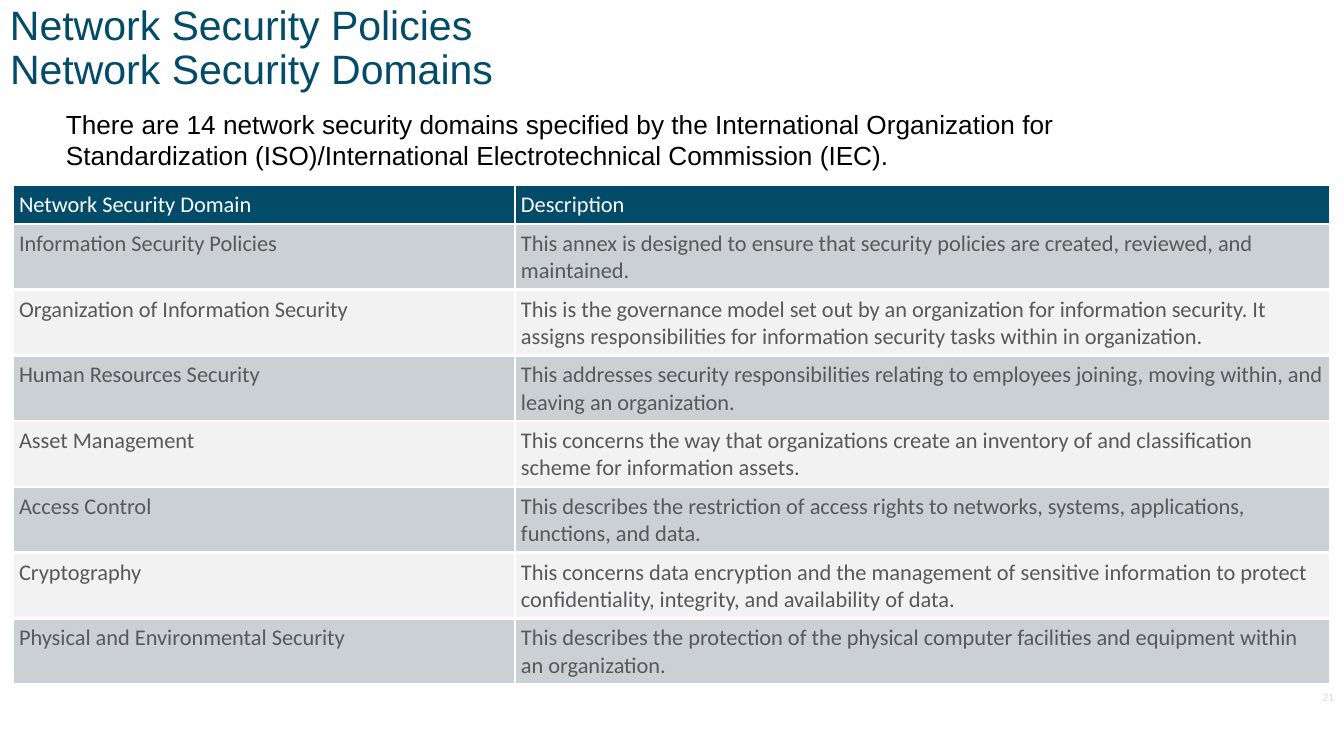
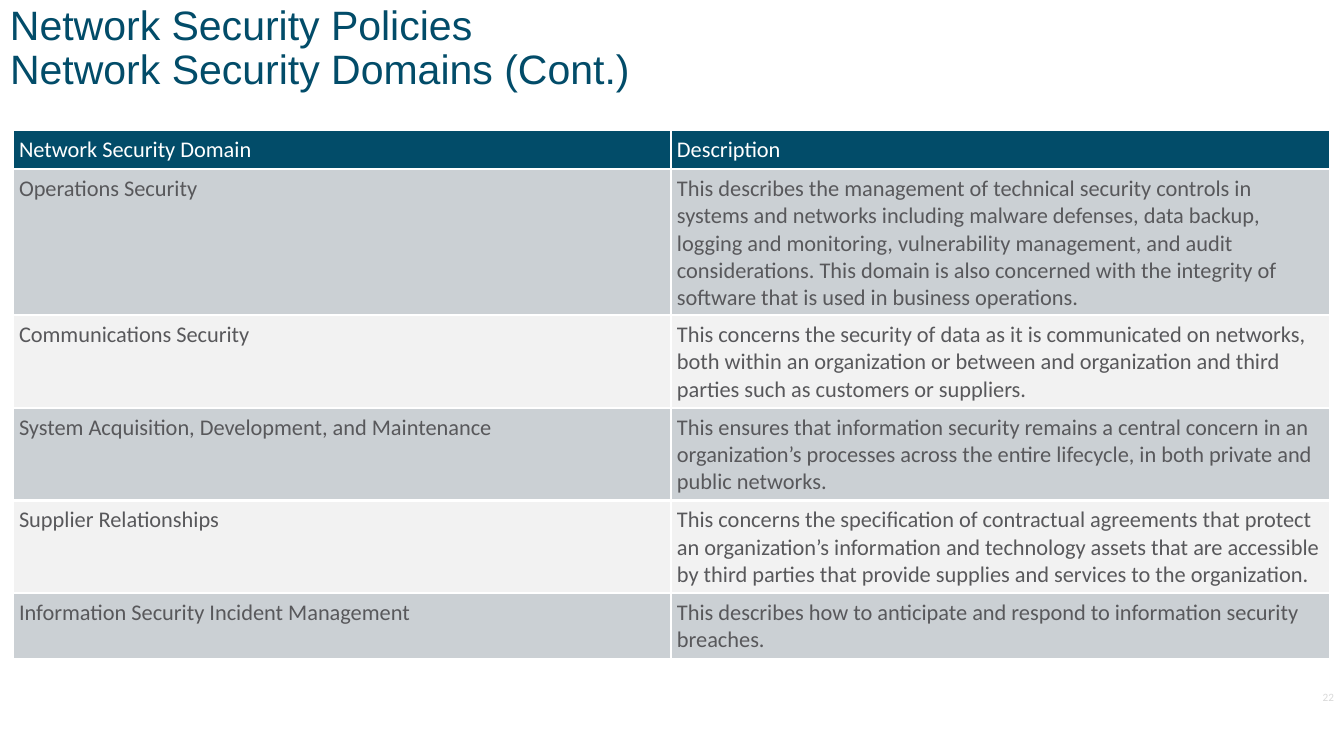
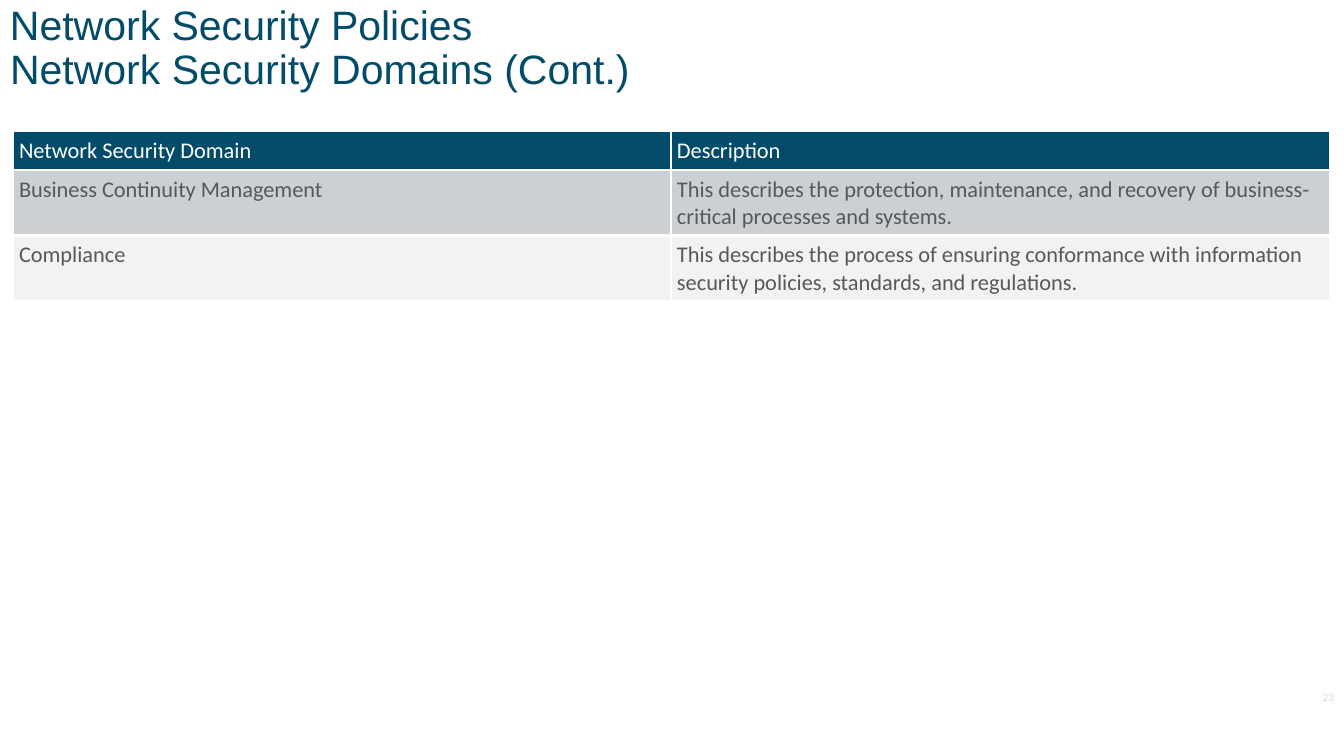
from lxml import etree
from pptx import Presentation
from pptx.dml.color import RGBColor
from pptx.enum.text import MSO_ANCHOR, PP_ALIGN
from pptx.oxml.ns import qn
from pptx.util import Emu, Pt

TOP, MIDDLE = MSO_ANCHOR.TOP, MSO_ANCHOR.MIDDLE
LEFT, RIGHT = PP_ALIGN.LEFT, PP_ALIGN.RIGHT

NAVY = RGBColor(0x02, 0x4C, 0x69)
BLACK = RGBColor(0x00, 0x00, 0x00)
WHITE = RGBColor(0xFF, 0xFF, 0xFF)
DARK_GREY = RGBColor(0x58, 0x58, 0x5B)
BAND_GREY = RGBColor(0xCB, 0xD0, 0xD4)
BAND_LIGHT = RGBColor(0xF2, 0xF2, 0xF2)
NUMBER_GREY = RGBColor(0xD9, 0xD9, 0xD9)

HEADING_FONT, TABLE_FONT = "Arial", "Calibri"
EMU_PER_PX = 914400 / 100.8
SLIDE_WIDTH, SLIDE_HEIGHT = 1344, 756
TITLE_ONLY = 5
TABLE_LEFT = 13
CELL_INSET = 6
LINE_HEIGHT, ROW_PADDING = 27, 11

TOPIC = "Network Security Policies"
INTRODUCTION = (
    "There are 14 network security domains specified by the International Organization for "
    "Standardization (ISO)/International Electrotechnical Commission (IEC)."
)
HEADER = ("Network Security Domain", "Description", 1)

GOVERNANCE_DOMAINS = [
    ("Information Security Policies",
     "This annex is designed to ensure that security policies are created, reviewed, and maintained.", 2),
    ("Organization of Information Security",
     "This is the governance model set out by an organization for information security. It assigns "
     "responsibilities for information security tasks within in organization.", 2),
    ("Human Resources Security",
     "This addresses security responsibilities relating to employees joining, moving within, and "
     "leaving an organization.", 2),
    ("Asset Management",
     "This concerns the way that organizations create an inventory of and classification scheme for "
     "information assets.", 2),
    ("Access Control",
     "This describes the restriction of access rights to networks, systems, applications, functions, "
     "and data.", 2),
    ("Cryptography",
     "This concerns data encryption and the management of sensitive information to protect "
     "confidentiality, integrity, and availability of data.", 2),
    ("Physical and Environmental Security",
     "This describes the protection of the physical computer facilities and equipment within an "
     "organization.", 2),
]
OPERATIONS_DOMAINS = [
    ("Operations Security",
     "This describes the management of technical security controls in systems and networks including "
     "malware defenses, data backup, logging and monitoring, vulnerability management, and audit "
     "considerations. This domain is also concerned with the integrity of software that is used in "
     "business operations.", 5),
    ("Communications Security",
     "This concerns the security of data as it is communicated on networks, both within an "
     "organization or between and organization and third parties such as customers or suppliers.", 3),
    ("System Acquisition, Development, and Maintenance",
     "This ensures that information security remains a central concern in an organization’s processes "
     "across the entire lifecycle, in both private and public networks.", 3),
    ("Supplier Relationships",
     "This concerns the specification of contractual agreements that protect an organization’s "
     "information and technology assets that are accessible by third parties that provide supplies "
     "and services to the organization.", 3),
    ("Information Security Incident Management",
     "This describes how to anticipate and respond to information security breaches.", 2),
]
CONTINUITY_DOMAINS = [
    ("Business Continuity Management",
     "This describes the protection, maintenance, and recovery of business-critical processes and "
     "systems.", 2),
    ("Compliance",
     "This describes the process of ensuring conformance with information security policies, "
     "standards, and regulations.", 2),
]


def px(length):
    return Emu(round(length * EMU_PER_PX))


def write(frame, text, size, font, color, align=LEFT, spacing=1.0):
    paragraph = frame.paragraphs[0]
    paragraph.alignment = align
    paragraph.line_spacing = spacing
    paragraph.space_before = Pt(0)
    run = paragraph.add_run()
    run.text = text
    run.font.size = Pt(size)
    run.font.name = font
    run.font.bold = False
    run.font.color.rgb = color


def add_text(slide, left, top, width, height, text, size, font, color,
             align=LEFT, spacing=1.0, anchor=TOP):
    box = slide.shapes.add_textbox(px(left), px(top), px(width), px(height))
    box.text_frame.word_wrap = True
    box.text_frame.vertical_anchor = anchor
    write(box.text_frame, text, size, font, color, align, spacing)
    return box


def add_headings(slide, subtitle, height):
    topic = add_text(slide, 0, 0, SLIDE_WIDTH, 40, TOPIC, 29.3, HEADING_FONT, NAVY, spacing=0.8)
    title = slide.shapes.title
    title.left, title.top, title.width, title.height = px(0), px(40), px(SLIDE_WIDTH), px(height)
    title.text_frame.vertical_anchor = TOP
    write(title.text_frame, subtitle, 29.3, HEADING_FONT, NAVY, spacing=0.9)
    for shape in (topic, title):
        shape.text_frame.margin_top = px(9)


def add_cell_borders(cell):
    properties = cell._tc.get_or_add_tcPr()
    for side in ("a:lnL", "a:lnR", "a:lnT", "a:lnB"):
        line = etree.SubElement(properties, qn(side), w=str(Pt(2)))
        fill = etree.SubElement(line, qn("a:solidFill"))
        etree.SubElement(fill, qn("a:srgbClr"), val=str(WHITE))


def fill_cell(cell, text, text_color, fill_color):
    add_cell_borders(cell)
    cell.fill.solid()
    cell.fill.fore_color.rgb = fill_color
    cell.margin_left = cell.margin_right = px(CELL_INSET)
    cell.margin_top = cell.margin_bottom = px(CELL_INSET)
    write(cell.text_frame, text, 16, TABLE_FONT, text_color)


def add_domain_table(slide, top, column_widths, domains):
    rows = [HEADER] + domains
    heights = [lines * LINE_HEIGHT + ROW_PADDING for *_, lines in rows]
    table = slide.shapes.add_table(
        len(rows), len(column_widths), px(TABLE_LEFT), px(top),
        px(sum(column_widths)), px(sum(heights))).table
    for column, width in zip(table.columns, column_widths):
        column.width = px(width)
    for index, (name, description, _) in enumerate(rows):
        table.rows[index].height = px(heights[index])
        if index == 0:
            text_color, fill_color = WHITE, NAVY
        else:
            text_color, fill_color = DARK_GREY, BAND_GREY if index % 2 else BAND_LIGHT
        for cell, text in zip(table.rows[index].cells, (name, description)):
            fill_cell(cell, text, text_color, fill_color)


def add_domain_slide(presentation, number, subtitle, title_height, table_top, column_widths, domains):
    slide = presentation.slides.add_slide(presentation.slide_layouts[TITLE_ONLY])
    add_headings(slide, subtitle, title_height)
    add_domain_table(slide, table_top, column_widths, domains)
    add_text(slide, 1277, 680, 67, 34, str(number), 8, TABLE_FONT, NUMBER_GREY, RIGHT, anchor=MIDDLE)
    return slide


def main():
    presentation = Presentation()
    presentation.slide_width, presentation.slide_height = px(SLIDE_WIDTH), px(SLIDE_HEIGHT)
    subtitle = "Network Security Domains"
    continued = f"{subtitle} (Cont.)"
    halves = (658, 659)

    slide = add_domain_slide(presentation, 21, subtitle, 57, 185, (502, 815), GOVERNANCE_DOMAINS)
    add_text(slide, 56, 103, 1188, 74, INTRODUCTION, 18.7, HEADING_FONT, BLACK)
    add_domain_slide(presentation, 22, continued, 134, 130, halves, OPERATIONS_DOMAINS)
    add_domain_slide(presentation, 23, continued, 134, 131, halves, CONTINUITY_DOMAINS)

    presentation.save("out.pptx")


if __name__ == "__main__":
    main()
